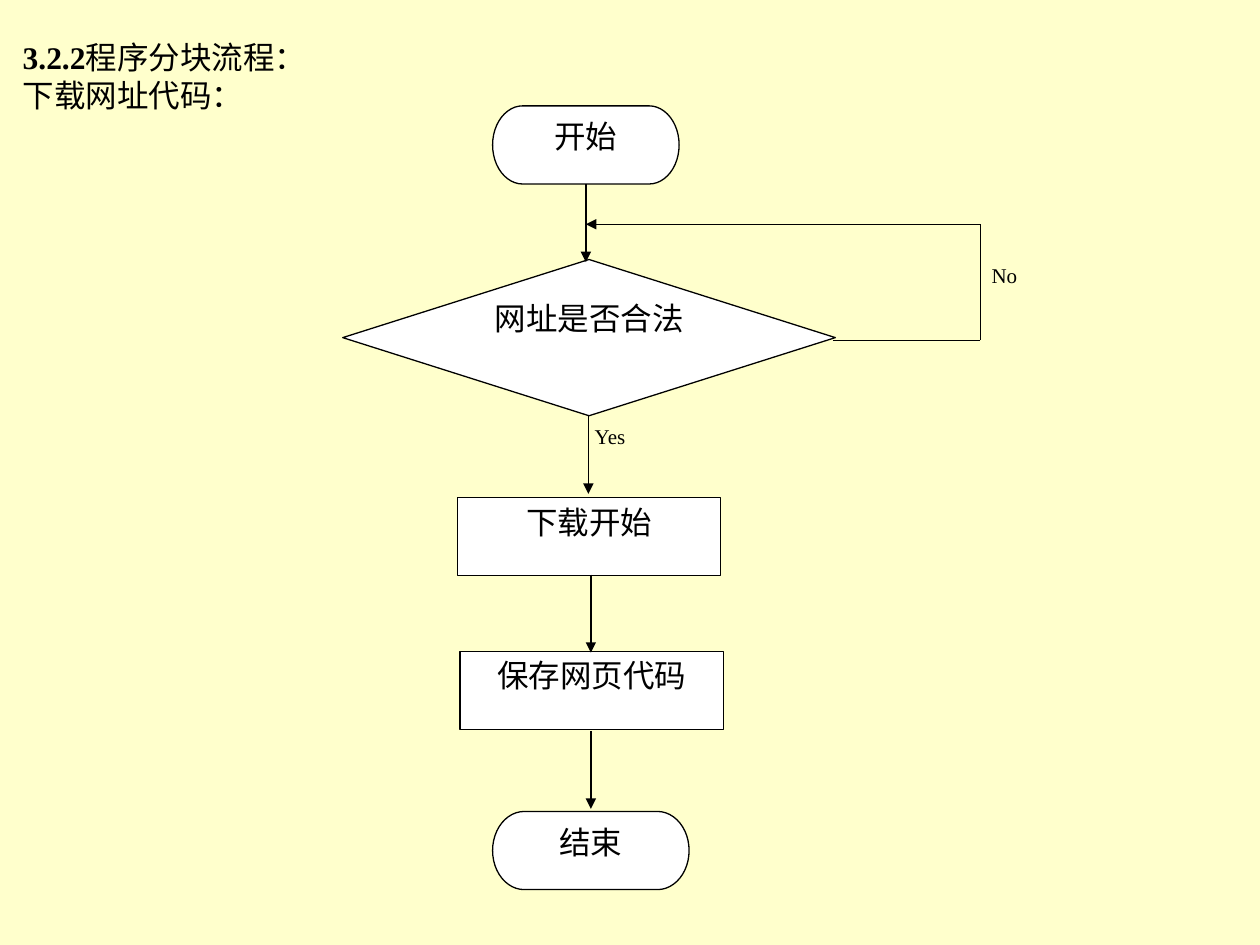
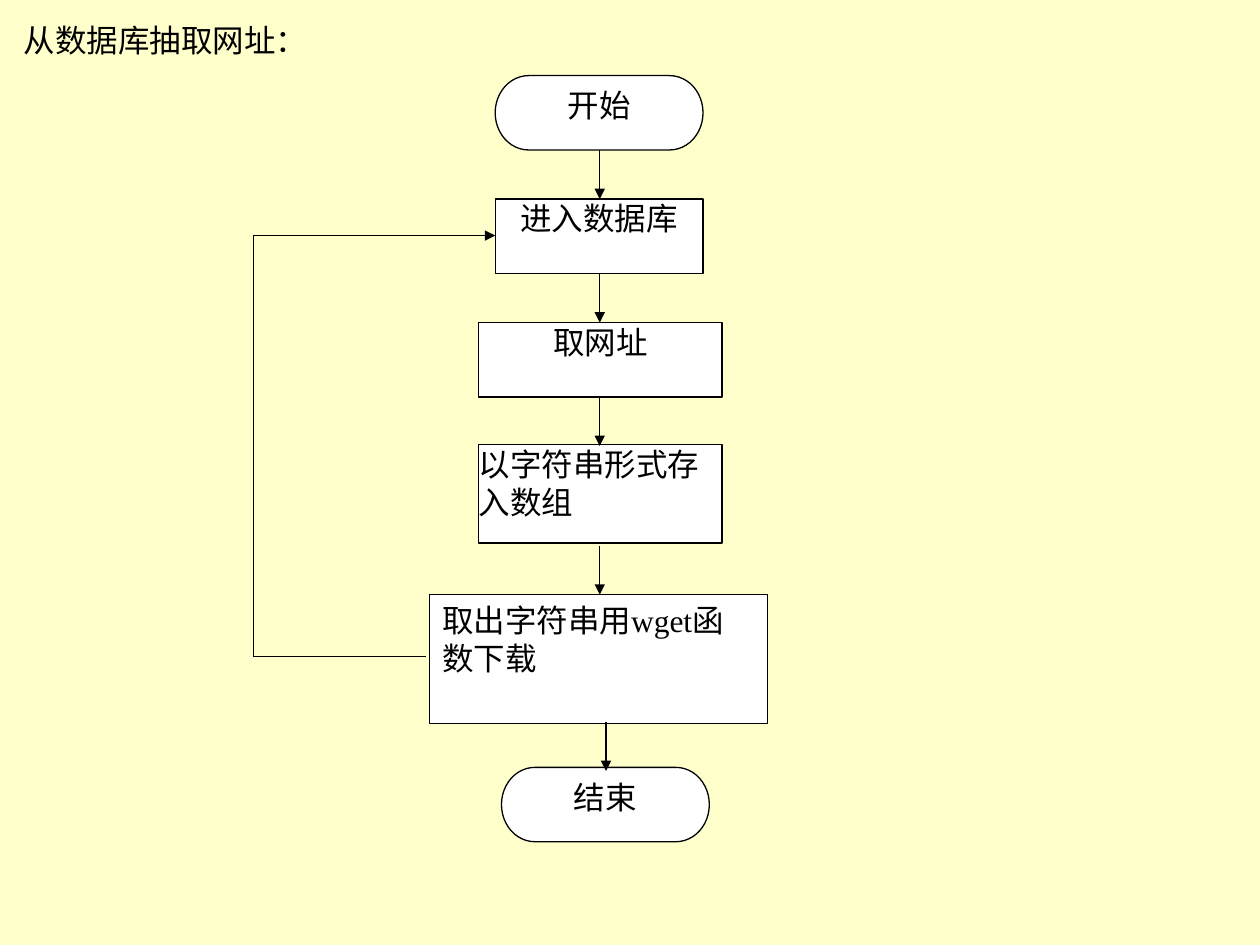
from lxml.etree import SubElement
from pptx import Presentation
from pptx.dml.color import RGBColor
from pptx.enum.shapes import MSO_CONNECTOR, MSO_SHAPE
from pptx.enum.text import MSO_ANCHOR, MSO_AUTO_SIZE, PP_ALIGN
from pptx.oxml.ns import qn
from pptx.util import Inches, Pt

FONT = "Times New Roman"
BACKGROUND, INK, BOX_FILL = "FFFFCC", "000000", "FFFFFF"
LINE_WIDTH = Pt(0.75)
TERMINATOR = MSO_SHAPE.FLOWCHART_TERMINATOR
PROCESS = MSO_SHAPE.FLOWCHART_PROCESS
DECISION = MSO_SHAPE.FLOWCHART_DECISION
CENTER, LEFT = PP_ALIGN.CENTER, PP_ALIGN.LEFT


def color(hex_value):
    return RGBColor.from_string(hex_value)


def format_text(text_frame, size, alignment, inset_x=0, inset_y=0):
    text_frame.margin_left = text_frame.margin_right = Inches(inset_x)
    text_frame.margin_top = text_frame.margin_bottom = Inches(inset_y)
    text_frame.vertical_anchor = MSO_ANCHOR.TOP
    for paragraph in text_frame.paragraphs:
        paragraph.alignment = alignment
        for run in paragraph.runs:
            run.font.name = FONT
            run.font.size = Pt(size)
            run.font.color.rgb = color(INK)


# Each flowchart: boxes (preset, place, text, alignment, insets),
# lines (from, to, has arrowhead) and branch labels
flowcharts = [
    {
        "title_place": (0.08, 0.25, 2.51, 1),
        "title": [("3.2.2", "程序分块流程："), ("", "下载网址代码：")],
        "boxes": [
            (TERMINATOR, (3.91, 0.84, 1.48, 0.62), "开始", CENTER, (0, 0)),
            (DECISION, (2.72, 2.06, 3.91, 1.24), "网址是否合法", CENTER, (0, 0)),
            (PROCESS, (3.63, 3.95, 2.09, 0.62), "下载开始", CENTER, (0, 0.04)),
            (PROCESS, (3.65, 5.17, 2.09, 0.62), "保存网页代码", CENTER, (0, 0.04)),
            (TERMINATOR, (3.91, 6.44, 1.56, 0.62), "结束", CENTER, (0, 0)),
        ],
        "lines": [
            ((4.65, 1.46), (4.65, 2.08), True),
            ((4.67, 3.3), (4.67, 3.92), True),
            ((4.69, 4.56), (4.69, 5.18), True),
            ((4.69, 5.8), (4.69, 6.42), True),
            ((6.61, 2.7), (7.78, 2.7), False),
            ((7.78, 2.7), (7.78, 1.78), False),
            ((7.78, 1.78), (4.65, 1.78), True),
        ],
        "labels": [("Yes", 4.72, 3.36), ("No", 7.87, 2.08)],
    },
    {
        "title_place": (0.09, 0.12, 2.45, 0.7),
        "title": [("", "从数据库抽取网址：")],
        "boxes": [
            (TERMINATOR, (3.93, 0.6, 1.65, 0.59), "开始", CENTER, (0, 0)),
            (PROCESS, (3.93, 1.58, 1.65, 0.59), "进入数据库", CENTER, (0, 0)),
            (PROCESS, (3.8, 2.56, 1.93, 0.59), "取网址", CENTER, (0, 0)),
            (PROCESS, (3.8, 3.53, 1.93, 0.78), "以字符串形式存入数组", LEFT, (0, 0)),
            (PROCESS, (3.41, 4.72, 2.68, 1.02), "取出字符串用wget函数下载", LEFT, (0.1, 0.05)),
            (TERMINATOR, (3.98, 6.09, 1.65, 0.59), "结束", CENTER, (0, 0)),
        ],
        "lines": [
            ((4.76, 1.19), (4.76, 1.58), True),
            ((4.76, 2.17), (4.76, 2.56), True),
            ((4.76, 3.15), (4.76, 3.54), True),
            ((4.76, 4.33), (4.76, 4.72), True),
            ((4.81, 5.73), (4.81, 6.12), True),
            ((3.38, 5.21), (2.01, 5.21), False),
            ((2.01, 5.21), (2.01, 1.87), False),
            ((2.01, 1.87), (3.93, 1.87), True),
        ],
        "labels": [],
    },
]

# Shared page size and background
presentation = Presentation()
presentation.slide_width, presentation.slide_height = Inches(10), Inches(7.5)
master_fill = presentation.slide_master.background.fill
master_fill.solid()
master_fill.fore_color.rgb = color(BACKGROUND)
title_only = presentation.slide_layouts.get_by_name("Title Only")

for flowchart in flowcharts:
    slide = presentation.slides.add_slide(title_only)

    # Title, with a bold section number where there is one
    title = slide.shapes.title
    title.left, title.top, title.width, title.height = map(Inches, flowchart["title_place"])
    text_frame = title.text_frame
    text_frame.auto_size = MSO_AUTO_SIZE.NONE
    text_frame.word_wrap = False
    for index, (number, heading) in enumerate(flowchart["title"]):
        paragraph = text_frame.add_paragraph() if index else text_frame.paragraphs[0]
        if number:
            run = paragraph.add_run()
            run.text = number
            run.font.bold = True
        paragraph.add_run().text = heading
    format_text(text_frame, 18, LEFT, 0.1, 0.05)

    # Boxes
    for preset, place, text, alignment, insets in flowchart["boxes"]:
        shape = slide.shapes.add_shape(preset, *map(Inches, place))
        shape.shadow.inherit = False
        shape.fill.solid()
        shape.fill.fore_color.rgb = color(BOX_FILL)
        shape.line.color.rgb = color(INK)
        shape.line.width = LINE_WIDTH
        shape.text_frame.text = text
        shape.text_frame.word_wrap = True
        format_text(shape.text_frame, 18, alignment, *insets)

    # Lines and arrows
    for start, end, has_arrowhead in flowchart["lines"]:
        connector = slide.shapes.add_connector(
            MSO_CONNECTOR.STRAIGHT, *map(Inches, start + end))
        connector.line.color.rgb = color(INK)
        connector.line.width = LINE_WIDTH
        properties = connector._element.spPr
        if has_arrowhead:
            SubElement(properties.find(qn("a:ln")), qn("a:tailEnd"), type="triangle")
        SubElement(properties, qn("a:effectLst"))

    # Branch labels
    for text, left, top in flowchart["labels"]:
        label = slide.shapes.add_textbox(Inches(left), Inches(top), Inches(0.52), Inches(0.41))
        label.text_frame.text = text
        label.text_frame.word_wrap = True
        format_text(label.text_frame, 12, LEFT)

presentation.save("out.pptx")
